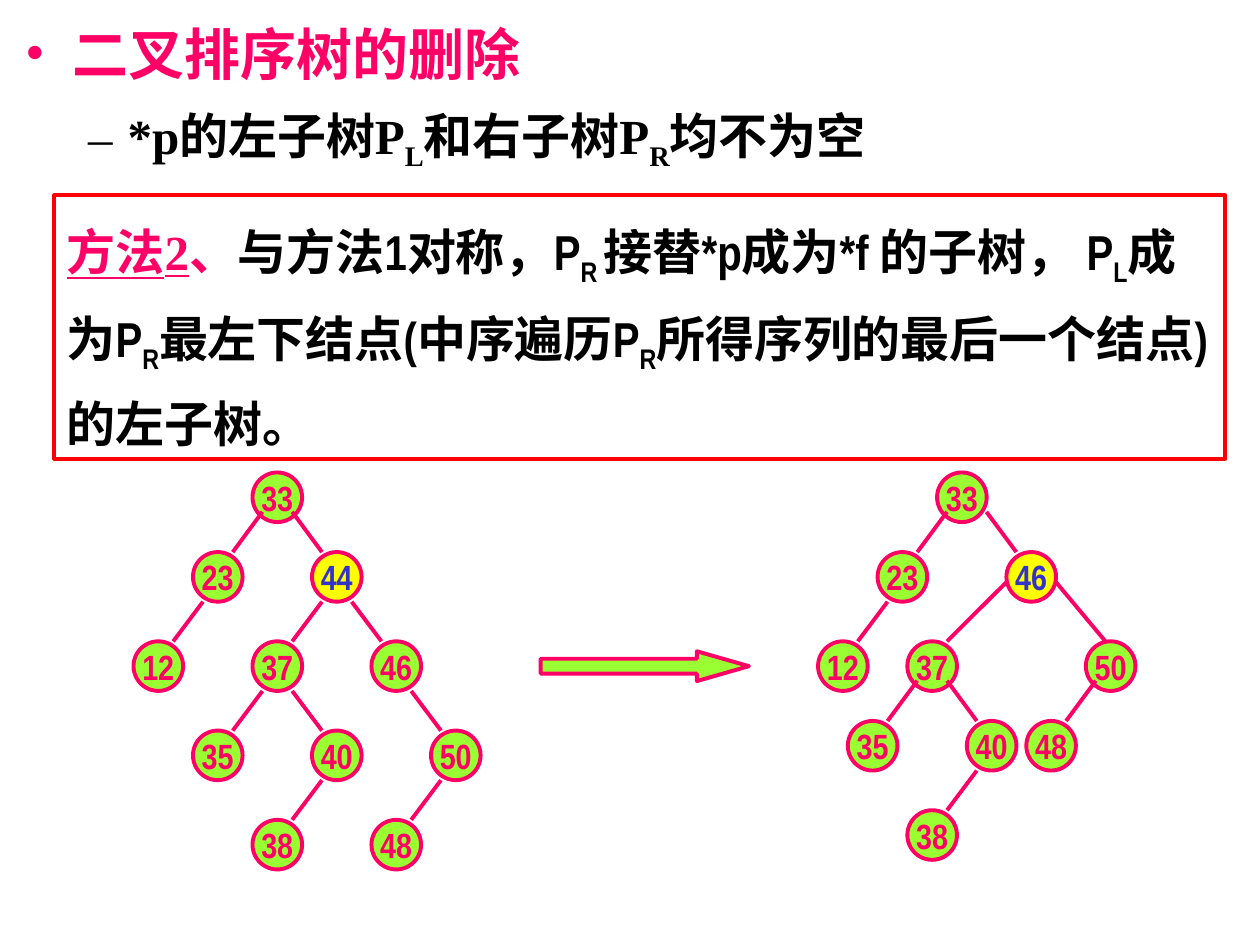
from lxml import etree
from pptx import Presentation
from pptx.dml.color import RGBColor
from pptx.enum.shapes import MSO_CONNECTOR, MSO_SHAPE
from pptx.enum.text import MSO_ANCHOR, MSO_AUTO_SIZE, PP_ALIGN
from pptx.oxml.ns import qn
from pptx.util import Pt

PINK = RGBColor(0xFF, 0x00, 0x66)
RED = RGBColor(0xFF, 0x00, 0x00)
GREEN = RGBColor(0x99, 0xFF, 0x33)
YELLOW = RGBColor(0xFF, 0xFF, 0x00)
BLUE = RGBColor(0x33, 0x33, 0xCC)
BLACK = RGBColor(0x00, 0x00, 0x00)

OVAL, RECT, ARROW = MSO_SHAPE.OVAL, MSO_SHAPE.RECTANGLE, MSO_SHAPE.RIGHT_ARROW
LINE = MSO_CONNECTOR.STRAIGHT
CENTER = PP_ALIGN.CENTER
TOP, MIDDLE = MSO_ANCHOR.TOP, MSO_ANCHOR.MIDDLE
FIXED, GROW = MSO_AUTO_SIZE.NONE, MSO_AUTO_SIZE.SHAPE_TO_FIT_TEXT

SERIF, NARROW = "Times New Roman", "Arial Narrow"
SIZE = 28.35    # node diameter
STEP = 17       # half the gap between neighbouring nodes
SIDE = 8.5      # sideways offset of an edge end from the node centre
INNER = 22.5    # edge start inside the parent circle

# Nodes: label -> (column, row); edges: (parent, child, start drop, start side, end side)
BEFORE = dict(
    left=76.3, tops=[270, 315.5, 366.5, 417.5, 468.5], hot="44",
    nodes={"33": (4, 0), "23": (2, 1), "44": (6, 1), "12": (0, 2), "37": (4, 2),
           "46": (8, 2), "35": (2, 3), "40": (6, 3), "50": (10, 3),
           "38": (4, 4), "48": (8, 4)},
    edges=[("33", "23", INNER), ("33", "44", INNER), ("23", "12"), ("44", "37"),
           ("44", "46"), ("37", "35"), ("37", "40"), ("46", "50"), ("40", "38"),
           ("50", "48")])
AFTER = dict(
    left=467.5, tops=[270, 315.5, 366.5, 412, 463], hot="46",
    nodes={"33": (4, 0), "23": (2, 1), "46": (6.33, 1), "12": (0, 2), "37": (3, 2),
           "50": (9, 2), "35": (1, 3), "40": (5, 3), "48": (7, 3), "38": (3, 4)},
    edges=[("33", "23", INNER), ("33", "46", INNER, 14), ("23", "12"),
           ("46", "37", 17, 14), ("46", "50", 17, 14, 3), ("37", "35", INNER),
           ("37", "40", INNER), ("50", "48", INNER), ("40", "38")])


def style(font, name, size, color):
    font.name, font.size, font.bold = name, Pt(size), True
    font.color.rgb = color


def write(para, text):
    """Add runs; every second piece between bars is a subscript."""
    runs = []
    for i, piece in enumerate(text.split("|")):
        run = para.add_run()
        run.text = piece
        if i % 2:
            run.font._element.set("baseline", "-25000")
        runs.append(run)
    return runs


def bullet(para, char, left, hang, color):
    props = para._p.get_or_add_pPr()
    props.set("marL", str(Pt(left)))
    props.set("indent", str(-Pt(hang)))
    tint = etree.SubElement(props, qn("a:buClr"))
    etree.SubElement(tint, qn("a:srgbClr"), val=str(color))
    etree.SubElement(props, qn("a:buFont"), typeface=SERIF)
    etree.SubElement(props, qn("a:buChar"), char=char)


def shape(slide, kind, left, top, width, height, fill, line=PINK):
    item = slide.shapes.add_shape(kind, Pt(left), Pt(top), Pt(width), Pt(height))
    item.shadow.inherit = False
    if fill is None:
        item.fill.background()
    else:
        item.fill.solid()
        item.fill.fore_color.rgb = fill
    item.line.color.rgb = line
    item.line.width = Pt(2.25)
    return item


def node(slide, left, top, label, hot):
    item = shape(slide, OVAL, left, top, SIZE, SIZE, YELLOW if hot else GREEN)
    frame = item.text_frame
    frame.word_wrap = False
    frame.vertical_anchor = MIDDLE
    para = frame.paragraphs[0]
    para.text, para.alignment = label, CENTER
    style(para.font, NARROW, 20, BLUE if hot else PINK)


def edge(slide, start, end, drop=SIZE, out=SIDE, back=SIDE):
    (x1, y1), (x2, y2) = start, end
    sign = 1 if x2 > x1 else -1
    mid = SIZE / 2
    item = slide.shapes.add_connector(
        LINE, Pt(x1 + mid + sign * out), Pt(y1 + drop),
        Pt(x2 + mid - sign * back), Pt(y2))
    item.line.color.rgb = PINK
    item.line.width = Pt(2.25)
    etree.SubElement(item._element.spPr, qn("a:effectLst"))


def tree(slide, left, tops, hot, nodes, edges):
    spots = {key: (left + STEP * col, tops[row]) for key, (col, row) in nodes.items()}
    for key, (x, y) in spots.items():
        node(slide, x, y, key, key == hot)
    for start, end, *rest in edges:
        edge(slide, spots[start], spots[end], *rest)


def heading(slide):
    body = slide.placeholders[1]
    body.left, body.top, body.width, body.height = Pt(7.2), Pt(3.6), Pt(693.5), Pt(96.5)
    frame = body.text_frame
    frame.auto_size = FIXED
    rows = [("二叉排序树的删除", "•", 27, 27, 32, PINK),
            ("*p的左子树P|L|和右子树P|R|均不为空", "–", 58.5, 22.5, 28, BLACK)]
    for i, (text, char, left, hang, size, color) in enumerate(rows):
        para = frame.add_paragraph() if i else frame.paragraphs[0]
        para.level = i
        bullet(para, char, left, hang, color)
        para.line_spacing = 1.1
        para.space_before = Pt(7 if i else 0)
        write(para, text)
        style(para.font, SERIF, size, color)


def method(slide):
    box = shape(slide, RECT, 31, 111.6, 669, 150.5, None, RED)
    frame = box.text_frame
    frame.word_wrap, frame.auto_size = True, GROW
    frame.vertical_anchor = TOP
    para = frame.paragraphs[0]
    para.alignment = PP_ALIGN.LEFT
    para.line_spacing = 1.3
    lead = write(para, "方法2")[0]
    lead.font.underline = True
    for run in [lead] + write(para, "、"):
        style(run.font, SERIF, 28, PINK)
    for run in write(para, "与方法1对称，P|R |接替*p成为*f 的子树， P|L|成为P|R|"
                           "最左下结点(中序遍历P|R|所得序列的最后一个结点)的左子树。"):
        style(run.font, NARROW, 28, BLACK)


def main():
    deck = Presentation()
    deck.slide_width, deck.slide_height = Pt(720), Pt(540)
    slide = deck.slides.add_slide(deck.slide_layouts[1])
    title = slide.shapes.title._element
    title.getparent().remove(title)

    # Text
    heading(slide)
    method(slide)

    # Trees before and after the deletion, with the arrow between
    tree(slide, **BEFORE)
    arrow = shape(slide, ARROW, 309, 372.2, 119, 17, GREEN)
    arrow.adjustments[0], arrow.adjustments[1] = 0.5, 1.75
    tree(slide, **AFTER)

    deck.save("out.pptx")


if __name__ == "__main__":
    main()
